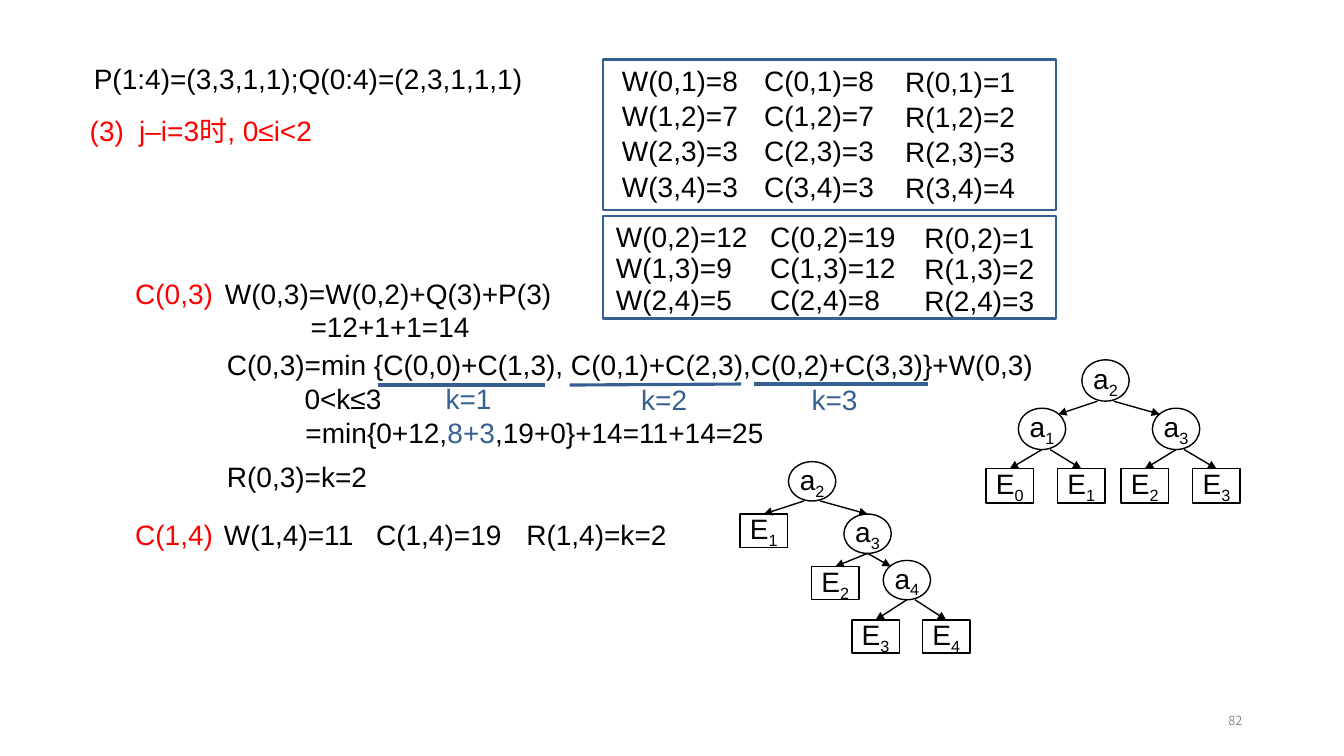
from lxml import etree
from pptx import Presentation
from pptx.dml.color import RGBColor
from pptx.enum.shapes import MSO_CONNECTOR, MSO_SHAPE
from pptx.enum.text import MSO_ANCHOR, PP_ALIGN
from pptx.oxml.ns import qn
from pptx.util import Inches, Pt

LINE = MSO_CONNECTOR.STRAIGHT
RECT = MSO_SHAPE.RECTANGLE
OVAL = MSO_SHAPE.OVAL
MIDDLE = MSO_ANCHOR.MIDDLE
CENTER = PP_ALIGN.CENTER
BLACK, RED, BLUE = "000000", "FF0000", "376092"
hue = RGBColor.from_string

deck = Presentation()
deck.slide_width, deck.slide_height = Inches(13.33), Inches(7.5)
slide = deck.slides.add_slide(deck.slide_layouts[5])
shapes = slide.shapes


def write(x, y, w, h, text, color=BLACK, pad=0.04, tabs=()):
    """Add a 20 pt text box; tabs are stops in inches."""
    frame = shapes.add_textbox(Inches(x), Inches(y), Inches(w), Inches(h)).text_frame
    frame.word_wrap = True
    frame.margin_left = frame.margin_right = Inches(pad)
    frame.margin_top = frame.margin_bottom = Inches(min(pad, 0.05))
    frame.text = text
    if tabs:
        stops = etree.SubElement(frame.paragraphs[0]._p.get_or_add_pPr(), qn("a:tabLst"))
        for stop in tabs:
            etree.SubElement(stops, qn("a:tab"), pos=str(Inches(stop)), algn="l")
    for para in frame.paragraphs:
        for run in para.runs:
            run.font.size, run.font.name = Pt(20), "Arial"
            run.font.color.rgb = hue(color)
    return frame


def link(x1, y1, x2, y2, color, width):
    line = shapes.add_connector(LINE, Inches(x1), Inches(y1), Inches(x2), Inches(y2))
    line.line.color.rgb = hue(color)
    line.line.width = Pt(width)
    etree.SubElement(line._element.spPr, qn("a:effectLst"))
    return line


# Title
title = shapes.title
title.left, title.top = Inches(0.89), Inches(0.61)
title.width, title.height = Inches(4.61), Inches(0.38)
frame = title.text_frame
frame.margin_left = frame.margin_right = Inches(0.04)
frame.margin_top = frame.margin_bottom = Inches(0.04)
frame.vertical_anchor = MIDDLE
frame.text = "P(1:4)=(3,3,1,1);Q(0:4)=(2,3,1,1,1)"
para = frame.paragraphs[0]
para.alignment = PP_ALIGN.LEFT
para.line_spacing = 0.9
font = para.runs[0].font
font.size, font.name = Pt(20), "Arial"
font.color.rgb = hue(BLACK)

# Working
write(0.85, 1.09, 3.2, 0.42, "(3)\tj–i=3时, 0≤i<2", RED, tabs=[0.49])
frame = write(2.19, 2.7, 4, 0.75, "W(0,3)=W(0,2)+Q(3)+P(3)\n=12+1+1=14")
frame.paragraphs[1]._p.get_or_add_pPr().set("marL", str(Inches(0.85)))
write(2.21, 3.41, 9.07, 0.42,
      "C(0,3)=min {C(0,0)+C(1,3), C(0,1)+C(2,3),C(0,2)+C(3,3)}+W(0,3)")
write(2.98, 3.74, 0.95, 0.42, "0<k≤3")
para = write(2.99, 4.08, 5.63, 0.42, "=min{0+12,").paragraphs[0]
for text, color in (("8+3", BLUE), (",19+0}+14=11+14=25", BLACK)):
    run = para.add_run()
    run.text = text
    run.font.size, run.font.name = Pt(20), "Arial"
    run.font.color.rgb = hue(color)
write(2.21, 4.52, 1.81, 0.42, "R(0,3)=k=2")
write(2.18, 5.09, 5.36, 0.42, "W(1,4)=11\tC(1,4)=19\tR(1,4)=k=2", tabs=[1.51, 3])
write(1.3, 2.7, 0.96, 0.42, "C(0,3)", RED)
write(1.3, 5.09, 0.96, 0.42, "C(1,4)", RED)

# Underlined terms of the minimum
terms = [("k=1", 4.38, 3.86, 3.75, 5.41, 3.82, 3.82),
         ("k=2", 6.32, 3.87, 5.65, 7.35, 3.82, 3.81),
         ("k=3", 8.01, 3.87, 7.48, 9.2, 3.81, 3.81)]
for text, x, y, start, end, y1, y2 in terms:
    link(start, y1, end, y2, BLUE, 2.25)
    write(x, y, 0.6, 0.3, text, BLUE).paragraphs[0].line_spacing = 0.6

# Framed values of W, C and R: frame top and height, text top, row step, columns, rows
grids = [
    (0.59, 1.49, 0.58, 0.35, (6.07, 7.48, 8.88),
     [("0,1", 8, 8, 1), ("1,2", 7, 7, 2), ("2,3", 3, 3, 3), ("3,4", 3, 3, 4)]),
    (2.14, 1.02, 2.13, 0.31, (6.01, 7.54, 9.07),
     [("0,2", 12, 19, 1), ("1,3", 9, 12, 2), ("2,4", 5, 8, 3)]),
]
for top, height, first, step, cols, rows in grids:
    for i, (pair, *values) in enumerate(rows):
        for name, x, value in zip("WCR", cols, values):
            write(x, first + i * step + 0.01 * (name == "R"), 1.6, 0.44,
                  f"{name}({pair})={value}", pad=0.1)
    box = shapes.add_shape(RECT, Inches(5.98), Inches(top), Inches(4.49), Inches(height))
    box.shadow.inherit = False
    box.fill.background()
    box.line.color.rgb = hue(BLUE)
    box.line.width = Pt(1.5)

# Trees: oval and box heights, nodes, edges (parent, child, start and end shift)
trees = [
    (0.41, 0.34,
     {"a2": (10.73, 3.57), "a1": (10.1, 4.05), "a3": (11.43, 4.05), "E0": (9.78, 4.65),
      "E1": (10.49, 4.65), "E2": (11.12, 4.65), "E3": (11.83, 4.65)},
     [("a2", "a1", -0.08, 0.16), ("a2", "a3", 0.08, -0.16), ("a1", "E0", 0, 0),
      ("a1", "E1", 0.08, 0), ("a3", "E2", 0, 0), ("a3", "E3", 0.08, 0)]),
    (0.39, 0.33,
     {"a2": (7.82, 4.58), "E1": (7.34, 5.1), "a3": (8.37, 5.1), "E2": (8.05, 5.62),
      "a4": (8.76, 5.56), "E3": (8.45, 6.15), "E4": (9.15, 6.15)},
     [("a2", "E1", -0.08, 0), ("a2", "a3", 0.08, 0), ("a3", "E2", 0, 0),
      ("a3", "a4", 0, -0.16), ("a4", "E3", 0, 0), ("a4", "E4", 0.08, 0)]),
]
wide = 0.47
for tall, low, nodes, edges in trees:
    drawn = {}
    for name, (x, y) in nodes.items():
        leaf = name[0] == "E"
        node = shapes.add_shape(RECT if leaf else OVAL, Inches(x), Inches(y),
                                Inches(wide), Inches(low if leaf else tall))
        drawn[name] = node
        node.shadow.inherit = False
        node.fill.background()
        node.line.color.rgb = hue(BLACK)
        node.line.width = Pt(1)
        frame = node.text_frame
        frame.word_wrap = False
        frame.vertical_anchor = MIDDLE
        para = frame.paragraphs[0]
        para.alignment = CENTER
        for text in name:
            run = para.add_run()
            run.text = text
            run.font.size, run.font.name = Pt(20), "Arial"
            run.font.color.rgb = hue(BLACK)
        run.font._element.set("baseline", "-25000")
    for parent, child, out, shift in edges:
        (x1, y1), (x2, y2) = nodes[parent], nodes[child]
        arrow = link(x1 + wide / 2 + out, y1 + tall,
                     x2 + wide / 2 + shift, y2 + (0.06 if shift else 0), BLACK, 1)
        etree.SubElement(arrow.line._get_or_add_ln(), qn("a:tailEnd"), type="triangle")
        if child[0] == "E":
            arrow.end_connect(drawn[child], 0)

# Page number
frame = write(9.42, 6.95, 3, 0.4, "82", "8C8C8C", pad=0.1)
frame.vertical_anchor = MIDDLE
para = frame.paragraphs[0]
para.alignment = PP_ALIGN.RIGHT
font = para.runs[0].font
font.size, font.name = Pt(9), "Noto Sans CJK SC"

deck.save("out.pptx")
